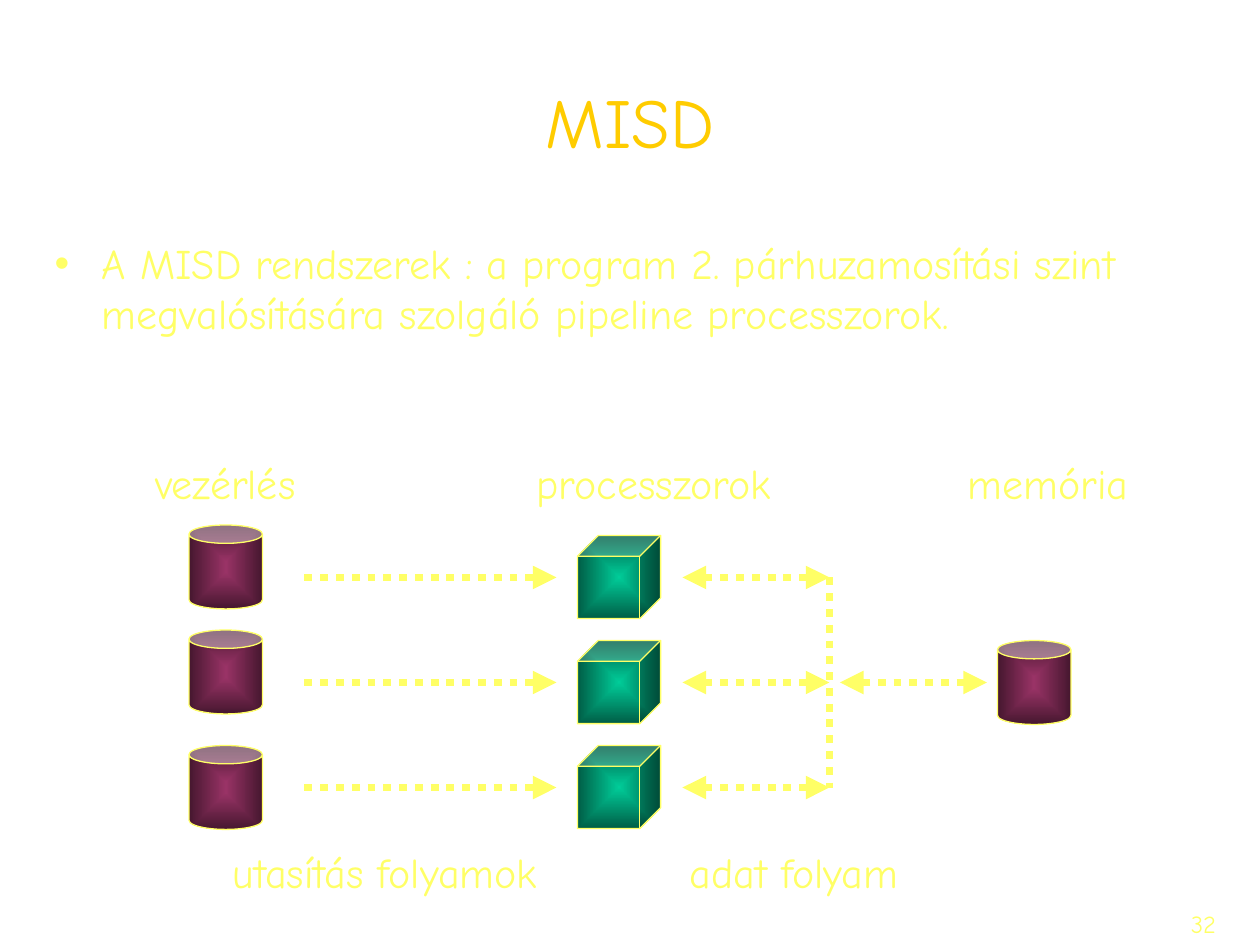
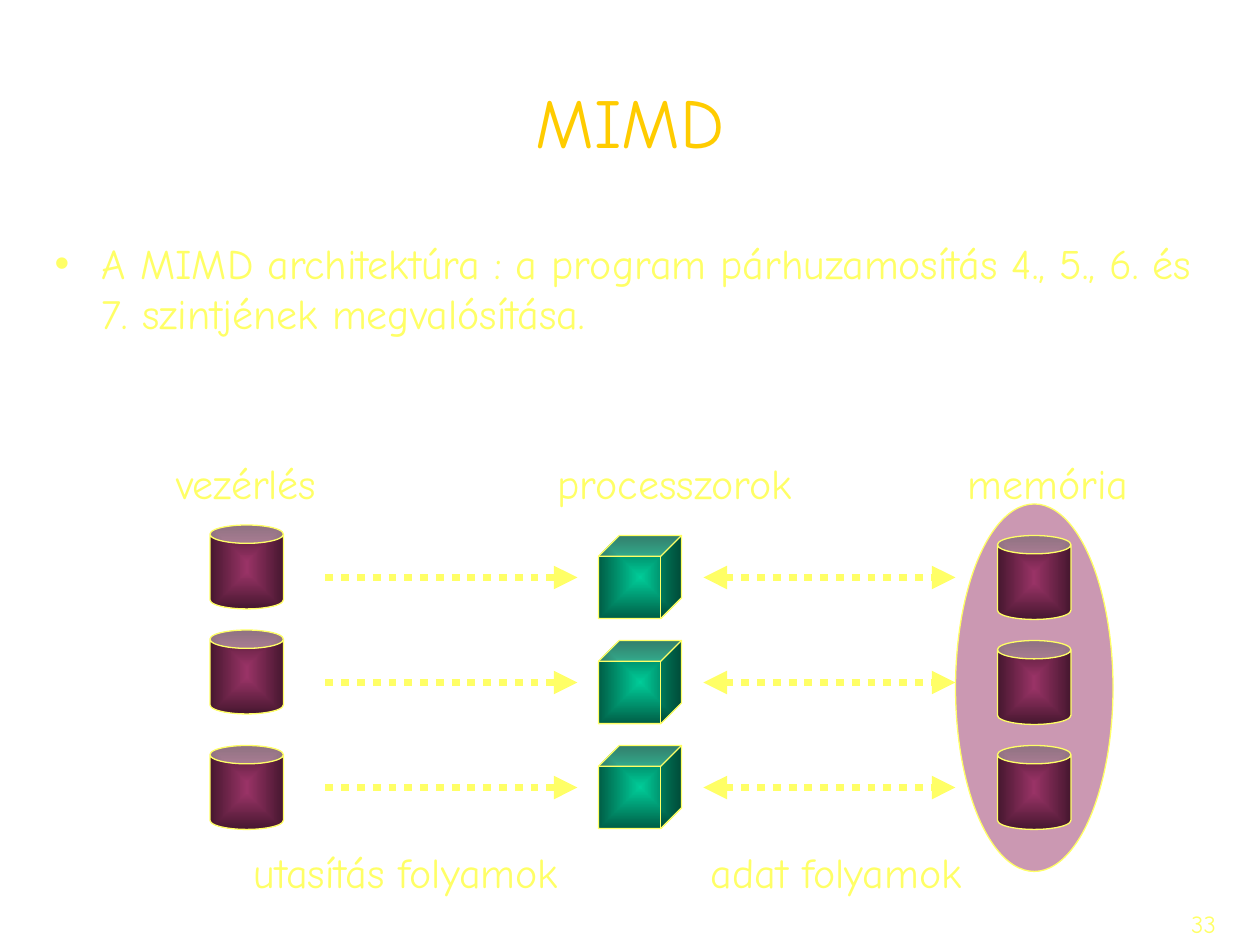
from lxml.etree import SubElement
from pptx import Presentation
from pptx.dml.color import RGBColor
from pptx.enum.dml import MSO_LINE
from pptx.enum.shapes import MSO_CONNECTOR, MSO_SHAPE
from pptx.enum.text import MSO_ANCHOR, MSO_AUTO_SIZE, PP_ALIGN
from pptx.oxml.ns import qn
from pptx.util import Pt

YELLOW = RGBColor(0xFF, 0xFF, 0x66)
GOLD = RGBColor(0xFF, 0xCC, 0x00)
PLUM = RGBColor(0x99, 0x33, 0x66)
DARK_PLUM = RGBColor(0x46, 0x17, 0x2F)
GREEN = RGBColor(0x00, 0xCC, 0x99)
DARK_GREEN = RGBColor(0x00, 0x5E, 0x46)
FONT = "Comic Neue"

ROW_STEP = 60
AXES = [72 + ROW_STEP * i for i in range(3)]  # arrow heights below the diagram top
CONTROL_TOPS = (42, 102, 168)
CUBE = 47.5
CAN_W, CAN_H = 42, 48
CAPTION_TOP = 222
MEMORY_LEFT = 546
DIAGRAM_TOP = 258


def place(shape, left, top, width, height):
    shape.left, shape.top = Pt(left), Pt(top)
    shape.width, shape.height = Pt(width), Pt(height)


def write(tf, text, size, color=YELLOW, align=PP_ALIGN.LEFT):
    tf.text = text
    p = tf.paragraphs[0]
    p.alignment = align
    p.space_before = Pt(0)
    font = p.runs[0].font
    font.name, font.size, font.color.rgb = FONT, Pt(size), color
    return p


def add_label(s, text, left, top, width):
    tb = s.shapes.add_textbox(Pt(left), Pt(top), Pt(width), Pt(36))
    tb.text_frame.word_wrap = False
    tb.text_frame.auto_size = MSO_AUTO_SIZE.SHAPE_TO_FIT_TEXT
    write(tb.text_frame, text, 24)


def add_outlined(s, kind, left, top, width, height):
    sp = s.shapes.add_shape(kind, Pt(left), Pt(top), Pt(width), Pt(height))
    sp.shadow.inherit = False
    sp.line.color.rgb = YELLOW
    sp.line.width = Pt(0.75)
    return sp


def glow(sp, center, edge):
    """Fill with a rectangular gradient running from the middle to the edges."""
    sp.fill.gradient()
    for stop, color, position in zip(sp.fill.gradient_stops, (center, edge), (0, 1)):
        stop.color.rgb = color
        stop.position = position
    grad = sp._element.spPr.find(qn("a:gradFill"))
    grad.remove(grad.find(qn("a:lin")))
    shade = SubElement(grad, qn("a:path"), {"path": "rect"})
    SubElement(shade, qn("a:fillToRect"), dict.fromkeys("ltrb", "50000"))


def add_can(s, left, top):
    glow(add_outlined(s, MSO_SHAPE.CAN, left, top, CAN_W, CAN_H), PLUM, DARK_PLUM)


def add_cube(s, left, top):
    glow(add_outlined(s, MSO_SHAPE.CUBE, left, top, CUBE, CUBE), GREEN, DARK_GREEN)


def add_flow(s, x1, y1, x2, y2, ends=("headEnd", "tailEnd")):
    line = s.shapes.add_connector(MSO_CONNECTOR.STRAIGHT, Pt(x1), Pt(y1), Pt(x2), Pt(y2))
    line.line.color.rgb = YELLOW
    line.line.width = Pt(4.5)
    line.line.dash_style = MSO_LINE.ROUND_DOT
    props = line._element.spPr
    for end in ends:
        SubElement(props.find(qn("a:ln")), qn(f"a:{end}"), {"type": "triangle"})
    SubElement(props, qn("a:effectLst"))


def add_text_slide(prs, title, statement, number):
    s = prs.slides.add_slide(prs.slide_layouts[1])
    heading, body = s.shapes.title, s.placeholders[1]
    place(heading, 0, 24, 720, 90)
    heading.text_frame.vertical_anchor = MSO_ANCHOR.MIDDLE
    write(heading.text_frame, title, 40, GOLD, PP_ALIGN.CENTER)

    place(body, 24, 132, 678, 384)
    p_pr = write(body.text_frame, statement, 24)._p.get_or_add_pPr()
    p_pr.set("marL", str(Pt(27)))
    p_pr.set("indent", str(Pt(-27)))
    SubElement(SubElement(p_pr, qn("a:buClr")), qn("a:srgbClr"), {"val": str(YELLOW)})
    SubElement(p_pr, qn("a:buChar"), {"char": "•"})

    tb = s.shapes.add_textbox(Pt(552), Pt(516), Pt(150), Pt(24))
    tb.text_frame.word_wrap = True
    write(tb.text_frame, str(number), 14, align=PP_ALIGN.RIGHT)
    return s


def add_processing(s, left, top, data_length, data_caption, caption_width):
    """Control units, processors and the data arrows leaving them."""
    add_label(s, "vezérlés", left - 26.5, top, 96)
    add_label(s, "processzorok", left + 191.5, top, 150)
    add_label(s, "utasítás folyamok", left + 18, top + CAPTION_TOP, 190)
    add_label(s, data_caption, left + 279, top + CAPTION_TOP, caption_width)
    for axis, control_top in zip(AXES, CONTROL_TOPS):
        y = top + axis
        add_can(s, left, top + control_top)
        add_cube(s, left + 222, y - 24)
        add_flow(s, left + 66, y, left + 210, y, ends=("tailEnd",))
        add_flow(s, left + 282, y, left + 282 + data_length, y)


def add_memory(s, left, top, axes):
    add_label(s, "memória", left, top, 106)
    for axis in axes:
        add_can(s, left + 24, top + axis - 24)


def add_bus(s, left, top):
    """Join the data arrows and lead them to the single memory."""
    add_flow(s, left, top + AXES[0], left, top + AXES[-1], ends=())
    add_flow(s, left + 6, top + AXES[1], left + 90, top + AXES[1])


def add_memory_pool(s, left, top):
    pool = add_outlined(s, MSO_SHAPE.OVAL, left, top, 90, 210)
    pool.fill.solid()
    pool.fill.fore_color.rgb = PLUM
    color = pool._element.spPr.find(qn("a:solidFill")).find(qn("a:srgbClr"))
    SubElement(color, qn("a:alpha"), {"val": "50000"})


def main():
    prs = Presentation()
    prs.slide_width, prs.slide_height = Pt(720), Pt(540)

    s = add_text_slide(
        prs, "MISD",
        "A MISD rendszerek : a program 2. párhuzamosítási szint "
        "megvalósítására szolgáló pipeline processzorok.", 32)
    add_processing(s, 108, DIAGRAM_TOP, 84, "adat folyam", 134)
    add_bus(s, 474, DIAGRAM_TOP)
    add_memory(s, MEMORY_LEFT, DIAGRAM_TOP, AXES[1:2])

    s = add_text_slide(
        prs, "MIMD",
        "A MIMD architektúra : a program párhuzamosítás 4., 5., 6. és "
        "7. szintjének megvalósítása.", 33)
    add_memory_pool(s, MEMORY_LEFT, DIAGRAM_TOP + 30)
    add_processing(s, 120, DIAGRAM_TOP, 144, "adat folyamok", 158.5)
    add_memory(s, MEMORY_LEFT, DIAGRAM_TOP, AXES)

    prs.save("out.pptx")


if __name__ == "__main__":
    main()
